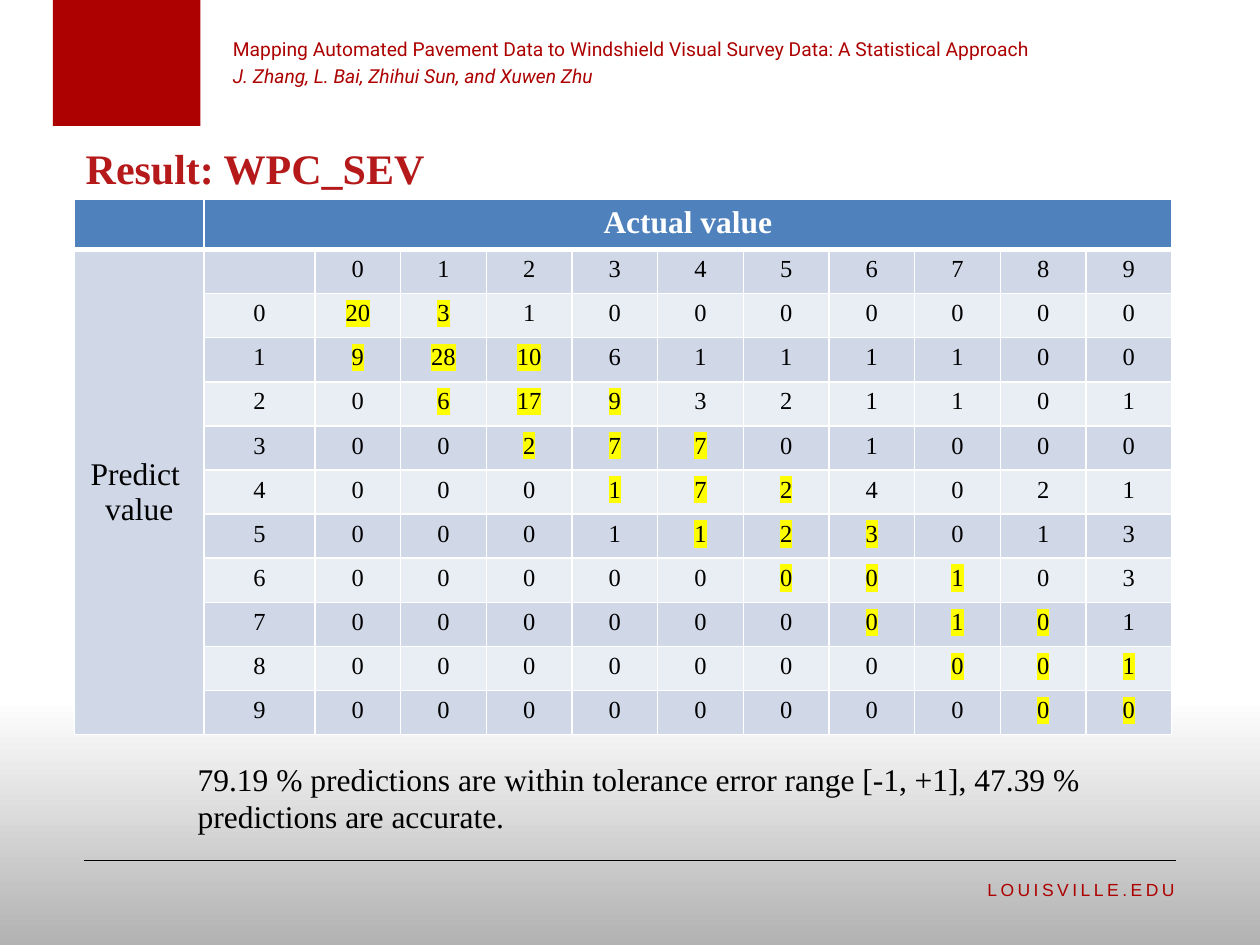
from dataclasses import dataclass

from lxml.etree import SubElement
from pptx import Presentation
from pptx.dml.color import RGBColor
from pptx.enum.shapes import MSO_CONNECTOR, MSO_SHAPE
from pptx.enum.text import MSO_ANCHOR, MSO_AUTO_SIZE, PP_ALIGN
from pptx.oxml.ns import qn
from pptx.util import Inches, Pt


@dataclass(frozen=True)
class Theme:
    """Colours, fonts and type sizes of the slide."""
    red: str = "AD0000"
    title_red: str = "B5191A"
    rule_red: str = "BF4C48"
    black: str = "000000"
    white: str = "FFFFFF"
    page_gray: str = "B2B2B2"
    header_blue: str = "4F81BD"
    bands: tuple = ("D0D8E8", "E9EDF4")
    marker: str = "FFFF00"
    serif: str = "Times New Roman"
    sans: str = "Roboto"
    footer_face: str = "Arial"
    title_size: int = 24
    large_size: int = 18
    cell_size: int = 14
    paper_size: int = 11
    footer_size: int = 10


THEME = Theme()
COUNTS = (
    (20, 3, 1, 0, 0, 0, 0, 0, 0, 0),
    (9, 28, 10, 6, 1, 1, 1, 1, 0, 0),
    (0, 6, 17, 9, 3, 2, 1, 1, 0, 1),
    (0, 0, 2, 7, 7, 0, 1, 0, 0, 0),
    (0, 0, 0, 1, 7, 2, 4, 0, 2, 1),
    (0, 0, 0, 1, 1, 2, 3, 0, 1, 3),
    (0, 0, 0, 0, 0, 0, 0, 1, 0, 3),
    (0, 0, 0, 0, 0, 0, 0, 1, 0, 1),
    (0, 0, 0, 0, 0, 0, 0, 0, 0, 1),
    (0, 0, 0, 0, 0, 0, 0, 0, 0, 0),
)


def color(value):
    """Turn a hex string into a colour."""
    return RGBColor.from_string(value)


def write(para, text, face, size, ink, align=PP_ALIGN.LEFT, **style):
    """Put one formatted run in a paragraph and return it."""
    para.alignment = align
    span = para.add_run()
    span.text = text
    formats = {"name": face, "size": Pt(size), "bold": False, **style}
    for name, value in formats.items():
        setattr(span.font, name, value)
    span.font.color.rgb = color(ink)
    return span


def add_text_box(page, box, anchor=MSO_ANCHOR.TOP):
    """Add a wrapping text box and return its frame."""
    frame = page.shapes.add_textbox(*map(Inches, box)).text_frame
    frame.word_wrap = True
    frame.vertical_anchor = anchor
    return frame


def add_rule(page, box, ink, weight):
    """Draw a horizontal rule along the top of a box."""
    left, top, width, _ = box
    rule = page.shapes.add_connector(
        MSO_CONNECTOR.STRAIGHT, Inches(left), Inches(top), Inches(left + width), Inches(top))
    rule.line.color.rgb = color(ink)
    rule.line.width = Pt(weight)
    SubElement(rule.element.spPr, qn("a:effectLst"))


def paint_background(page):
    """Fade the page from white to gray at the bottom."""
    fill = page.background.fill
    fill.gradient()
    fill.gradient_angle = 270
    stops = ((0.74, THEME.white), (1, THEME.page_gray))
    for stop, (position, ink) in zip(fill.gradient_stops, stops):
        stop.position = position
        stop.color.rgb = color(ink)


def add_corner_block(page, box):
    """Place the red block at the top of the page."""
    block = page.shapes.add_shape(MSO_SHAPE.RECTANGLE, *map(Inches, box))
    block.shadow.inherit = False
    block.fill.solid()
    block.fill.fore_color.rgb = color(THEME.red)
    block.line.fill.background()


def add_paper_heading(page, box):
    """Name the paper and its authors."""
    frame = add_text_box(page, box, MSO_ANCHOR.BOTTOM)
    write(frame.paragraphs[0],
          "Mapping Automated Pavement Data to Windshield Visual Survey Data: A Statistical Approach",
          THEME.sans, THEME.paper_size, THEME.red)
    authors = frame.add_paragraph()
    authors.space_before = Pt(2.2)
    write(authors, "J. Zhang, L. Bai, Zhihui Sun, and Xuwen Zhu",
          THEME.sans, THEME.paper_size, THEME.red, italic=True)


def place_title(page, box):
    """Move and format the title and underline it."""
    left, top, width, height = box
    title = page.shapes.title
    for name, value in zip(("left", "top", "width", "height"), box):
        setattr(title, name, Inches(value))
    frame = title.text_frame
    frame.auto_size = MSO_AUTO_SIZE.NONE
    frame.vertical_anchor = MSO_ANCHOR.BOTTOM
    write(frame.paragraphs[0], "Result: WPC_SEV",
          THEME.serif, THEME.title_size, THEME.title_red, bold=True)
    add_rule(page, (left + 0.09, top + height, width - 0.09, 0), THEME.rule_red, 0.75)


def highlight(span):
    """Mark a run with the highlight colour."""
    face = span.font._element.find(qn("a:latin"))
    marker = SubElement(span.font._element, qn("a:highlight"))
    SubElement(marker, qn("a:srgbClr"), val=THEME.marker)
    face.addprevious(marker)


def format_cell(cell, row):
    """Set the borders, fill and empty-line size of a cell."""
    properties = cell._tc.get_or_add_tcPr()
    weights = {"lnL": 1, "lnR": 1, "lnT": 3 if row == 1 else 1, "lnB": 3 if row == 0 else 1}
    for side, weight in weights.items():
        line = SubElement(properties, qn(f"a:{side}"), w=str(Pt(weight)))
        SubElement(SubElement(line, qn("a:solidFill")), qn("a:srgbClr"), val=THEME.white)
    cell.fill.solid()
    cell.fill.fore_color.rgb = color(THEME.bands[(row - 1) % 2] if row else THEME.header_blue)
    ending = cell.text_frame.paragraphs[0]._p.get_or_add_endParaRPr()
    ending.set("sz", str(THEME.cell_size * 100))


def add_confusion_table(page, box):
    """Tabulate predicted against actual values, marking errors of at most one."""
    size = len(COUNTS) + 2
    table = page.shapes.add_table(size, size, *map(Inches, box)).table
    table.first_row = table.horz_banding = False
    for column, width in zip(table.columns, [1.03, 0.88] + [0.68] * len(COUNTS)):
        column.width = Inches(width)
    for index, row in enumerate(table.rows):
        row.height = Inches(0.35 if index else 0.38)
        for cell in row.cells:
            format_cell(cell, index)
    table.cell(0, 1).merge(table.cell(0, size - 1))
    table.cell(1, 0).merge(table.cell(size - 1, 0))

    write(table.cell(0, 1).text_frame.paragraphs[0], "Actual value",
          THEME.serif, THEME.large_size, THEME.white, PP_ALIGN.CENTER, bold=True)
    side = table.cell(1, 0)
    side.vertical_anchor = MSO_ANCHOR.MIDDLE
    side_paras = (side.text_frame.paragraphs[0], side.text_frame.add_paragraph())
    for para, text in zip(side_paras, ("Predict ", "value")):
        write(para, text, THEME.serif, THEME.large_size, THEME.black, PP_ALIGN.CENTER)

    def put(row, column, value):
        """Write one number in the grid."""
        return write(table.cell(row, column).text_frame.paragraphs[0], str(value),
                     THEME.serif, THEME.cell_size, THEME.black, PP_ALIGN.CENTER)

    for predicted, counts in enumerate(COUNTS):
        put(1, predicted + 2, predicted)
        put(predicted + 2, 1, predicted)
        for actual, count in enumerate(counts):
            span = put(predicted + 2, actual + 2, count)
            if abs(predicted - actual) <= 1:
                highlight(span)


def add_summary(page, box):
    """State the accuracy below the table."""
    write(add_text_box(page, box).paragraphs[0],
          "79.19 % predictions are within tolerance error range [-1, +1], "
          "47.39 % predictions are accurate.",
          THEME.serif, THEME.large_size, THEME.black)


def add_footer(page, box):
    """Close the page with a rule and the web address."""
    left, top, width, height = box
    add_rule(page, (left, top, width - 0.09, 0), THEME.black, 0.5)
    address = add_text_box(page, (left + width - 2.25, top + 0.1, 2.25, height - 0.1))
    span = write(address.paragraphs[0], "LOUISVILLE.EDU",
                 THEME.footer_face, THEME.footer_size, THEME.red, PP_ALIGN.RIGHT)
    span.font._element.set("spc", "200")


def main():
    """Build and save the deck."""
    deck = Presentation()
    deck.slide_width, deck.slide_height = Inches(10), Inches(7.5)
    page = deck.slides.add_slide(deck.slide_layouts[5])
    paint_background(page)
    add_corner_block(page, (0.42, 0, 1.17, 1))
    add_footer(page, (0.67, 6.83, 8.75, 0.5))
    place_title(page, (0.58, 1.08, 4.33, 0.5))
    add_paper_heading(page, (1.75, 0.17, 6.75, 0.57))
    add_confusion_table(page, (0.59, 1.58, 8.71, 4.23))
    add_summary(page, (1.47, 5.98, 7.32, 0.71))
    deck.save("out.pptx")


if __name__ == "__main__":
    main()
